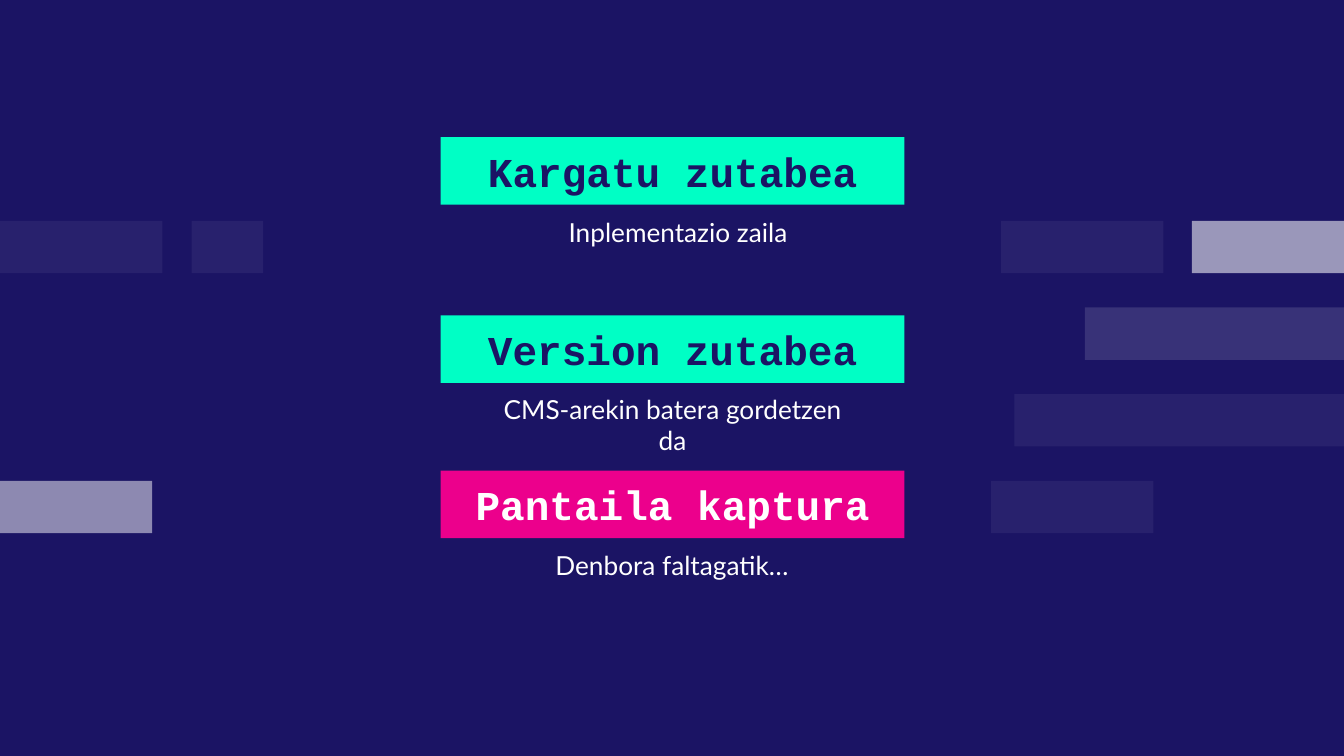
"""Build the slide of three labelled development notes on a dark, blocky background."""
import pptx
import pptx.dml.color
import pptx.enum.shapes
import pptx.enum.text
import pptx.util
from lxml import etree
from pptx.oxml.ns import qn

Inches = pptx.util.Inches
COLORS = {"navy": "1B1464", "mint": "00FFC5", "pink": "EC008C", "white": "FFFFFF"}


def paint(fill, color):
    fill.solid()
    fill.fore_color.rgb = pptx.dml.color.RGBColor.from_string(COLORS[color])


def write(shape, text, *, size, font, color, bold=False, anchor="TOP", inset=0.13, top=0.13):
    frame = shape.text_frame
    frame.word_wrap = True
    frame.auto_size = pptx.enum.text.MSO_AUTO_SIZE.NONE
    frame.vertical_anchor = pptx.enum.text.MSO_ANCHOR[anchor]
    frame.margin_left = frame.margin_right = frame.margin_bottom = Inches(inset)
    frame.margin_top = Inches(top)
    paragraph = frame.paragraphs[0]
    paragraph.alignment = pptx.enum.text.PP_ALIGN.CENTER
    paragraph.space_before = pptx.util.Pt(0)
    run = paragraph.add_run()
    run.text = text
    run.font.size = pptx.util.Pt(size)
    run.font.name = font
    run.font.bold = bold
    paint(run.font.fill, color)


presentation = pptx.Presentation()
presentation.slide_width = Inches(13.33)
presentation.slide_height = Inches(7.5)
slide = presentation.slides.add_slide(presentation.slide_layouts[0])
paint(slide.background.fill, "navy")
rectangle = pptx.enum.shapes.MSO_SHAPE.RECTANGLE

blocks = [
    (10.76, 1, 2.57, 13),
    (9.93, 0, 1.61, 6),
    (10.06, 2, 3.27, 6),
    (11.82, 0, 1.51, 56),
    (9.83, 3, 1.61, 6),
    (0, 3, 1.51, 50),
    (0, 0, 1.61, 6),
    (1.9, 0, 0.71, 6),
]
for left, row, width, opacity in blocks:
    block = slide.shapes.add_shape(
        rectangle, Inches(left), Inches(2.19 + 0.86 * row), Inches(width), Inches(0.52))
    block.shadow.inherit = False
    block.line.fill.background()
    paint(block.fill, "white")
    color_element = block.fill._xPr.find(qn("a:solidFill"))[0]
    etree.SubElement(color_element, qn("a:alpha"), val=str(opacity * 1000))

notes = [
    ("Kargatu zutabea", 1.36, "mint", "navy", 0.13, "Inplementazio zaila", 4.99, 2.15, 3.35, 0.1),
    ("Version zutabea", 3.13, "mint", "navy", 0.13, "CMS-arekin batera gordetzen da", 4.82, 3.9, 3.7, 0.13),
    ("Pantaila kaptura", 4.67, "pink", "white", 0.1, "Denbora faltagatik…", 4.99, 5.45, 3.35, 0.13),
]
for index, note in enumerate(notes):
    heading, heading_top, fill, ink, heading_inset, detail, left, top, width, inset = note
    heading_box = (Inches(4.37), Inches(heading_top), Inches(4.6), Inches(0.67))
    detail_box = (Inches(left), Inches(top), Inches(width), Inches(0.67))
    if index == 0:
        label, caption = slide.shapes.title, slide.placeholders[1]
        for shape, box in ((label, heading_box), (caption, detail_box)):
            shape.left, shape.top, shape.width, shape.height = box
            slide.shapes._spTree.append(shape._element)
        properties = caption.text_frame.paragraphs[0]._p.get_or_add_pPr()
        properties.set("marL", str(Inches(0.5)))
        properties.set("indent", str(Inches(-0.38)))
    else:
        label = slide.shapes.add_shape(rectangle, *heading_box)
        label.shadow.inherit = False
        caption = slide.shapes.add_textbox(*detail_box)
    paint(label.fill, fill)
    label.line.fill.background()
    write(label, heading, size=29.3, font="Courier New", color=ink, bold=True,
          anchor="MIDDLE", inset=heading_inset, top=heading_inset)
    write(caption, detail, size=18.7, font="Lato", color="white", inset=inset, top=0)

presentation.save("out.pptx")
